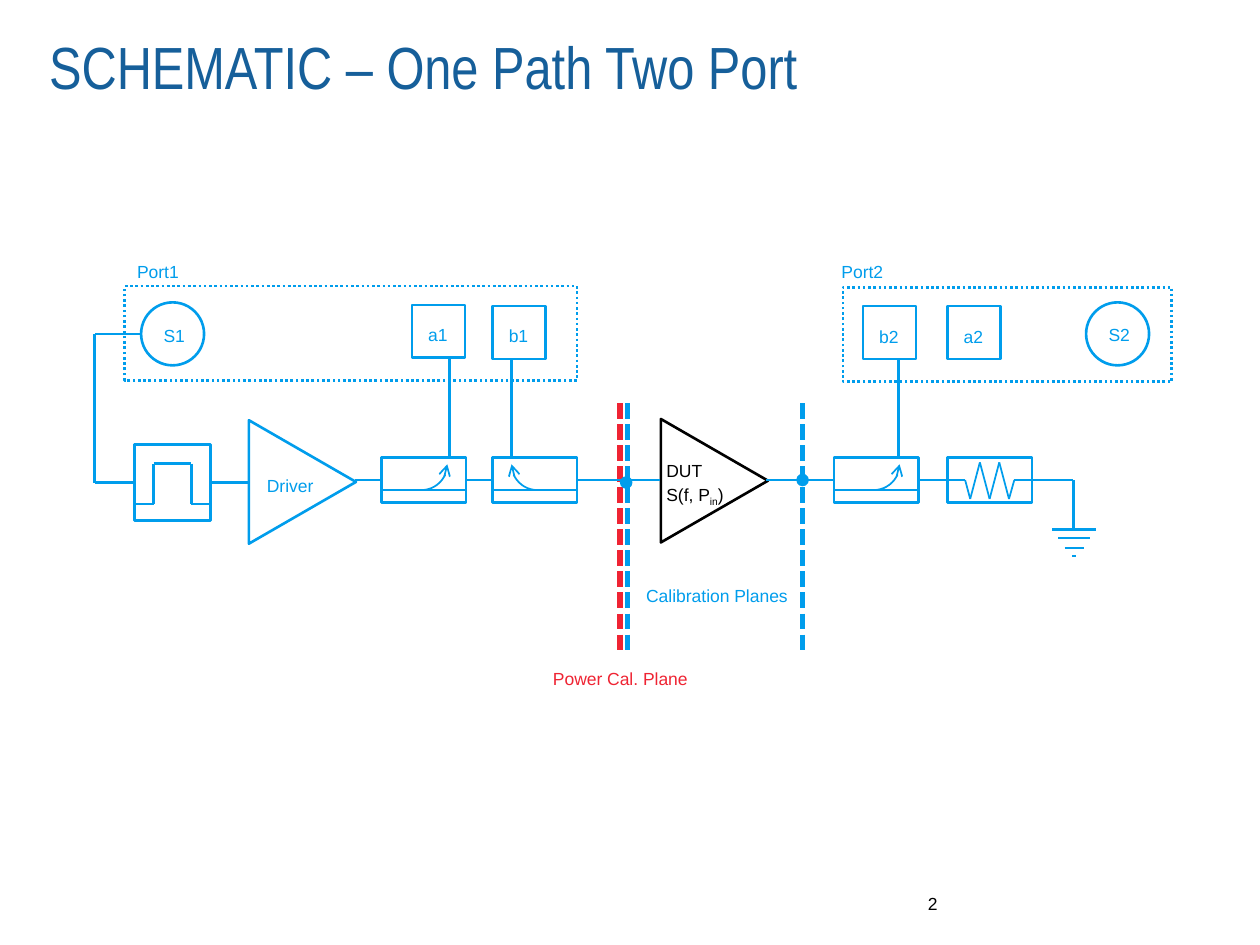
from itertools import pairwise

from lxml import etree
from pptx import Presentation
from pptx import util as u
from pptx.dml.color import RGBColor
from pptx.enum import dml, shapes, text
from pptx.oxml.ns import qn

BLUE, RED, BLACK, WHITE, TITLE = "009DEC", "EF2433", "000000", "FFFFFF", "165F9A"
DOTTED, DASHED = dml.MSO_LINE.ROUND_DOT, dml.MSO_LINE.SQUARE_DOT
KIND = shapes.MSO_SHAPE
TOP, LEFT, BOTTOM, RIGHT = range(4)


def colour(value):
    return RGBColor.from_string(value)


def inches(*values):
    return [u.Inches(value) for value in values]


class Schematic:
    """Holds the drawing style and the current slide."""

    font, size, weight = "Arial", 10, 1.5

    def __init__(self, slide):
        self.slide = slide

    def stroke(self, line, value, weight, dash=None):
        line.color.rgb = colour(value)
        line.width = u.Pt(weight)
        if dash:
            line.dash_style = dash

    def run(self, paragraph, words, value, size=None, font=None):
        run = paragraph.add_run()
        run.text = words
        run.font.size = u.Pt(size or self.size)
        run.font.name = font or self.font
        run.font.color.rgb = colour(value)
        return run

    def frame(self, shape, margins=None):
        frame = shape.text_frame
        frame.word_wrap = True
        frame.vertical_anchor = text.MSO_ANCHOR.TOP
        if margins is not None:
            frame.margin_left = frame.margin_right = u.Inches(margins)
            frame.margin_top = frame.margin_bottom = u.Inches(margins)
        return frame.paragraphs[0]

    def title(self, words, *place):
        shape = self.slide.shapes.title
        shape.left, shape.top, shape.width, shape.height = inches(*place)
        paragraph = self.frame(shape, 0)
        paragraph.alignment = text.PP_ALIGN.LEFT
        self.run(paragraph, words, TITLE, 34, "Arial Narrow")

    def number(self, words, *place):
        paragraph = self.frame(self.slide.shapes.add_textbox(*inches(*place)), 0)
        paragraph.alignment = text.PP_ALIGN.RIGHT
        self.run(paragraph, words, BLACK)

    def label(self, words, *place, value=BLUE):
        paragraph = self.frame(self.slide.shapes.add_textbox(*inches(*place)))
        paragraph.line_spacing = 1.12
        paragraph.space_after = u.Pt(6)
        if words:
            self.run(paragraph, words, value)
        return paragraph

    def shape(self, kind, *place, value=BLUE, weight=None, dash=None, fill=None):
        shape = self.slide.shapes.add_shape(kind, *inches(*place))
        shape.shadow.inherit = False
        if fill:
            shape.fill.solid()
            shape.fill.fore_color.rgb = colour(fill)
        else:
            shape.fill.background()
        self.stroke(shape.line, value, weight or self.weight, dash)
        return shape

    def line(self, start, end, weight=None, value=BLUE, dash=None, begin=None, finish=None):
        connector = self.slide.shapes.add_connector(
            shapes.MSO_CONNECTOR.STRAIGHT, *inches(*start, *end))
        self.stroke(connector.line, value, weight or self.weight, dash)
        etree.SubElement(connector._element.spPr, qn("a:effectLst"))
        if begin:
            connector.begin_connect(*begin)
        if finish:
            connector.end_connect(*finish)

    def chain(self, points, weight=None):
        for start, end in pairwise(points):
            self.line(start, end, weight)

    def amplifier(self, left, top, value):
        triangle = self.shape(KIND.ISOSCELES_TRIANGLE, left, top, 0.98, 0.85,
                              value=value, fill=WHITE)
        triangle.rotation = 90

    def source(self, name, left, label_left, label_top):
        self.shape(KIND.OVAL, left, 2.4, 0.5, 0.5)
        self.label(name, label_left, label_top, 0.4, 0.28)

    def receiver(self, name, left, top, label_top):
        self.shape(KIND.RECTANGLE, left, top, 0.42, 0.42)
        self.label(name, left + 0.03, label_top, 0.4, 0.28)

    def coupler(self, left, arc_left, mirrored=False):
        box = self.shape(KIND.RECTANGLE, left, 3.63, 0.67, 0.36)
        self.line((left, 3.89), (left + 0.67, 3.89), 1)
        arc = self.shape(KIND.ARC, arc_left, 3.48, 0.41, 0.41, weight=1)
        frame = arc._element.spPr.find(qn("a:xfrm"))
        frame.set("flipV", "1")
        if mirrored:
            frame.set("flipH", "1")
        etree.SubElement(arc.line._get_or_add_ln(), qn("a:tailEnd"), type="arrow")
        return box


def main():
    presentation = Presentation()
    presentation.slide_width, presentation.slide_height = inches(10, 7.5)
    slide = presentation.slides.add_slide(presentation.slide_layouts[5])
    drawing = Schematic(slide)
    drawing.title("SCHEMATIC – One Path Two Port", 0.39, 0.24, 9.06, 1.18)
    drawing.number("2", 6.89, 7.09, 0.55, 0.2)

    # Ports with their sources and receivers
    drawing.shape(KIND.RECTANGLE, 0.99, 2.27, 3.59, 0.75, dash=DOTTED)
    drawing.label("Port1", 0.99, 2, 0.63, 0.28)
    drawing.shape(KIND.RECTANGLE, 6.69, 2.28, 2.61, 0.75, dash=DOTTED)
    drawing.label("Port2", 6.58, 2, 0.61, 0.28)
    drawing.source("S1", 1.12, 1.2, 2.51)
    drawing.source("S2", 8.62, 8.7, 2.5)
    for name, left, top, label_top in (
            ("a1", 3.27, 2.42, 2.5), ("b1", 3.91, 2.43, 2.51),
            ("b2", 6.85, 2.43, 2.52), ("a2", 7.52, 2.43, 2.52)):
        drawing.receiver(name, left, top, label_top)

    # Pulse modulator
    pulse = drawing.shape(KIND.RECTANGLE, 1.07, 3.53, 0.6, 0.6)
    drawing.chain([(1.07, 4), (1.22, 4), (1.22, 3.68), (1.52, 3.68), (1.52, 4), (1.67, 4)])

    # Driver and device under test
    drawing.amplifier(1.91, 3.4, BLUE)
    drawing.label("Driver", 2.02, 3.7, 0.58, 0.24)
    drawing.amplifier(5.18, 3.39, BLACK)
    paragraph = drawing.label("", 5.19, 3.58, 0.81, 0.48)
    drawing.run(paragraph, "DUT", BLACK)
    paragraph.add_line_break()
    drawing.run(paragraph, "S(f, P", BLACK)
    subscript = drawing.run(paragraph, "in", BLACK)
    subscript.font._element.set("baseline", "-25000")
    drawing.run(paragraph, ")", BLACK)

    # Couplers, with lines up to their receivers
    coupler_a1 = drawing.coupler(3.03, 3.14)
    coupler_b1 = drawing.coupler(3.91, 4.06, mirrored=True)
    coupler_b2 = drawing.coupler(6.62, 6.73)
    for x in (3.57, 4.06, 7.13):
        drawing.line((x, 2.85), (x, 3.63))

    # Load resistor
    load = drawing.shape(KIND.RECTANGLE, 7.52, 3.63, 0.67, 0.36)
    peaks = [(7.7 + 0.077 * step, 3.67 if step % 2 else 3.96) for step in range(5)]
    drawing.chain([(7.52, 3.81), (7.66, 3.81), *peaks, (8.05, 3.81), (8.19, 3.81)], 1)

    # Calibration planes
    for x, value in ((4.98, BLUE), (6.37, BLUE), (4.92, RED)):
        drawing.line((x, 3.2), (x, 5.19), 3, value, DASHED)
    drawing.label("Calibration Planes", 5.03, 4.57, 1.39, 0.32)
    drawing.label("Power Cal. Plane", 4.29, 5.23, 1.28, 0.32, value=RED)

    # Signal line from left to right
    drawing.chain([(1.12, 2.65), (0.75, 2.65), (0.75, 3.83)])
    drawing.line((0.75, 3.83), (1.07, 3.83), finish=(pulse, LEFT))
    drawing.line((1.67, 3.83), (1.98, 3.83), begin=(pulse, RIGHT))
    drawing.line((2.82, 3.81), (3.03, 3.81), finish=(coupler_a1, LEFT))
    drawing.line((3.7, 3.81), (3.91, 3.81),
                 begin=(coupler_a1, RIGHT), finish=(coupler_b1, LEFT))
    drawing.line((4.58, 3.81), (5.24, 3.81), begin=(coupler_b1, RIGHT))
    drawing.line((6.08, 3.81), (6.62, 3.81), finish=(coupler_b2, LEFT))
    drawing.line((7.29, 3.81), (7.52, 3.81),
                 begin=(coupler_b2, RIGHT), finish=(load, LEFT))
    drawing.line((8.19, 3.81), (8.52, 3.81), begin=(load, RIGHT))
    for left, top in ((4.92, 3.78), (6.32, 3.76)):
        dot = drawing.shape(KIND.OVAL, left, top, 0.1, 0.1, fill=BLUE)
        dot.line.fill.background()

    # Ground symbol
    drawing.line((8.52, 3.81), (8.52, 4.2))
    for y, width, weight in ((4.2, 0.35, 1.5), (4.27, 0.25, 1), (4.35, 0.15, 1), (4.41, 0.03, 1)):
        drawing.line((8.525 - width / 2, y), (8.525 + width / 2, y), weight)

    presentation.save("out.pptx")


if __name__ == "__main__":
    main()
